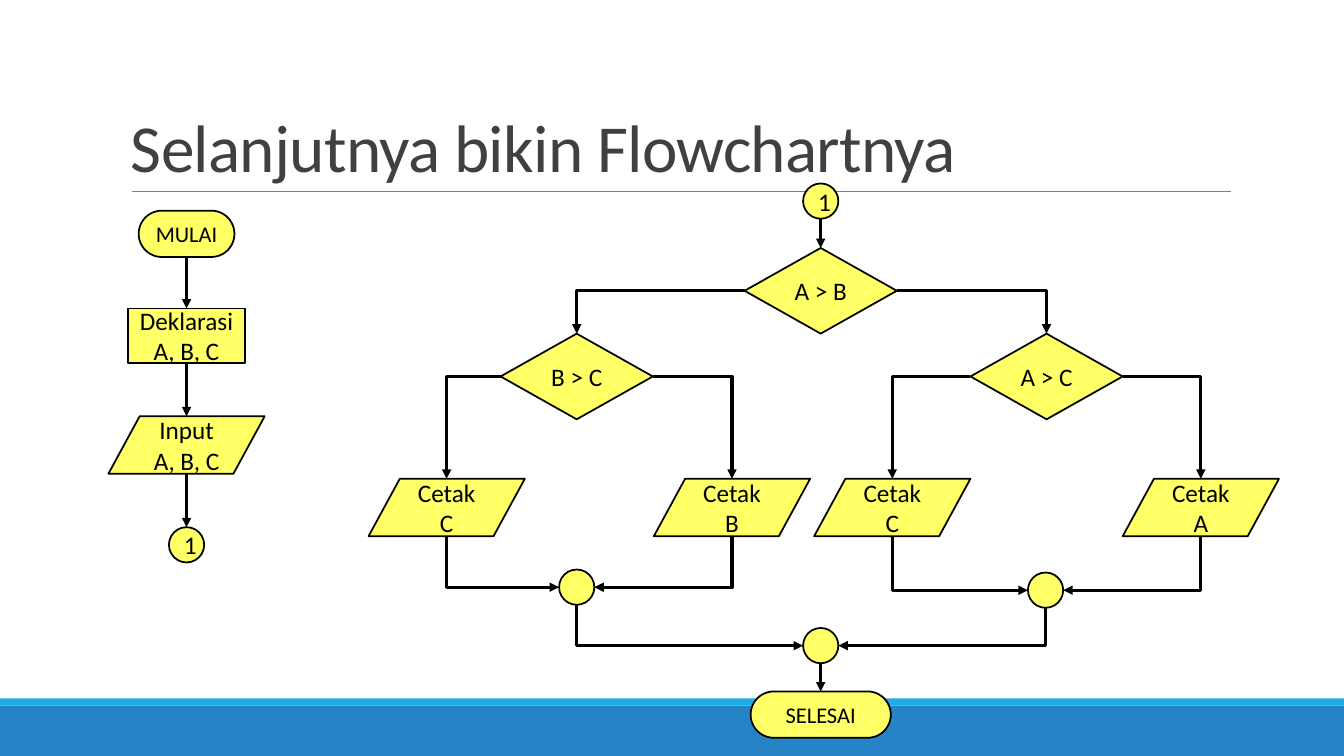
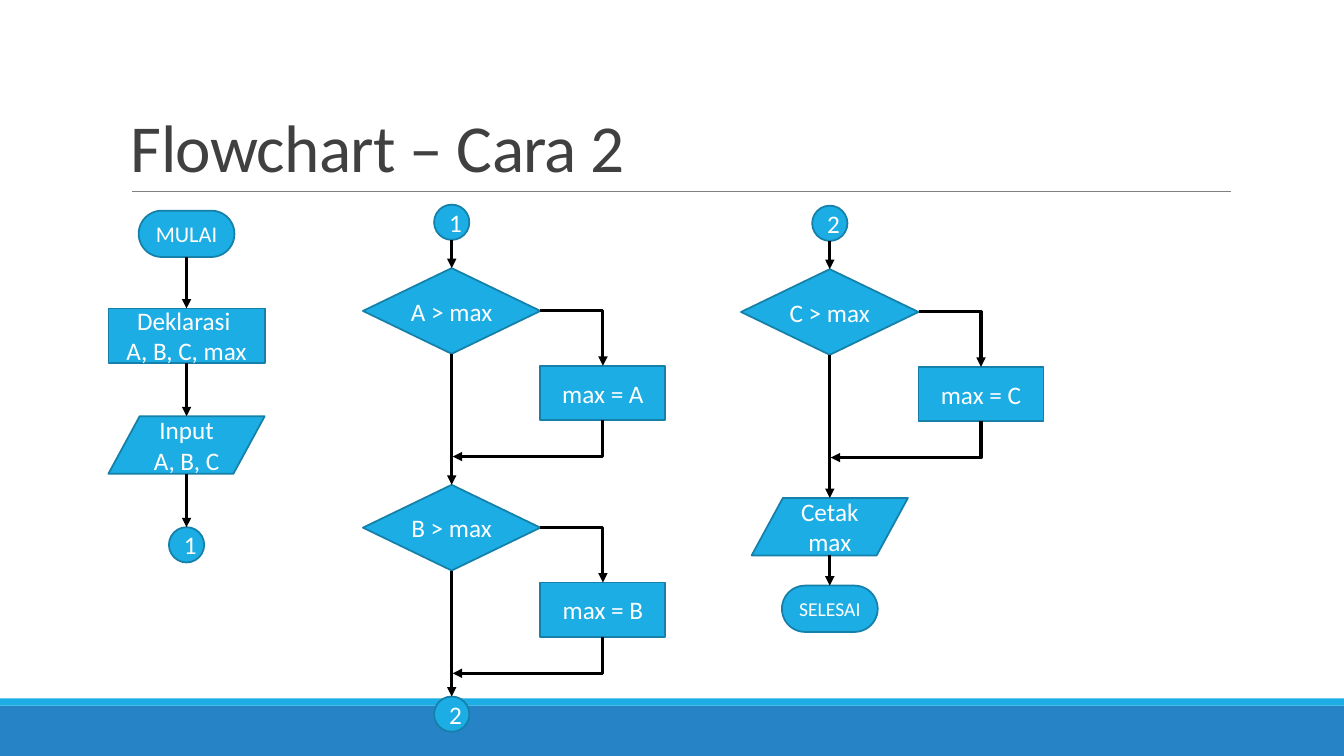
"""Build two slides with flowcharts that find the largest of three numbers."""
from dataclasses import dataclass
from enum import Enum

from lxml.etree import SubElement
from pptx import Presentation
from pptx.dml.color import RGBColor
from pptx.enum.shapes import MSO_CONNECTOR, MSO_SHAPE
from pptx.enum.text import MSO_ANCHOR, PP_ALIGN
from pptx.oxml.ns import qn
from pptx.shapes.autoshape import Shape
from pptx.shapes.connector import Connector
from pptx.slide import Slide
from pptx.util import Inches, Pt

TOP, LEFT, BOTTOM, RIGHT = range(4)


@dataclass(frozen=True)
class Theme:
    font: str = "Calibri"
    title: str = "404040"
    rule: str = "808080"
    band: str = "2683C6"
    accent: str = "1CADE4"
    arrow: str = "000000"
    title_size: float = 48
    label_size: float = 18
    terminal_size: float = 16
    small_size: float = 14
    outline_width: float = 1.25
    arrow_width: float = 2.25


@dataclass(frozen=True)
class Palette:
    fill: str
    outline: str
    text: str


@dataclass(frozen=True)
class Form:
    preset: MSO_SHAPE
    width: float
    height: float
    sites: tuple[int, int, int, int] = (0, 1, 2, 3)


class Kind(Enum):
    TERMINAL = Form(MSO_SHAPE.ROUNDED_RECTANGLE, 0.95, 0.46)
    PROCESS = Form(MSO_SHAPE.RECTANGLE, 1.24, 0.54)
    DATA = Form(MSO_SHAPE.FLOWCHART_DATA, 1.55, 0.57, (1, 2, 4, 5))
    DECISION = Form(MSO_SHAPE.FLOWCHART_DECISION, 1.51, 0.85)
    JUNCTION = Form(MSO_SHAPE.OVAL, 0.35, 0.35, (0, 2, 4, 6))


@dataclass(frozen=True)
class Node:
    shape: Shape
    kind: Kind


THEME = Theme()
YELLOW = Palette("FFFF66", "000000", "000000")
BLUE = Palette(THEME.accent, "1580A9", "FFFFFF")


def color(value: str) -> RGBColor:
    """Turn a hexadecimal string into a colour."""
    return RGBColor.from_string(value)


def write_text(shape: Shape, text: str, *, size: float, text_color: str,
               align: PP_ALIGN = PP_ALIGN.CENTER,
               anchor: MSO_ANCHOR = MSO_ANCHOR.MIDDLE,
               line_spacing: float = 1.0, tracking: float = 0) -> None:
    """Write formatted text into a shape."""
    frame = shape.text_frame
    frame.word_wrap = True
    frame.vertical_anchor = anchor
    frame.text = text
    paragraph = frame.paragraphs[0]
    paragraph.alignment = align
    paragraph.line_spacing = line_spacing
    for run in paragraph.runs:
        run.font.name = THEME.font
        run.font.size = Pt(size)
        run.font.color.rgb = color(text_color)
        if tracking:
            run.font._element.set("spc", str(int(tracking * 100)))


def style_line(connector: Connector, line_color: str, width: float) -> None:
    """Set a connector's stroke and remove its shadow."""
    connector.line.color.rgb = color(line_color)
    connector.line.width = Pt(width)
    SubElement(connector._element.spPr, qn("a:effectLst"))


def add_band(slide: Slide, top: float, height: float, fill: str) -> None:
    """Draw a full-width footer band."""
    band = slide.shapes.add_shape(MSO_SHAPE.RECTANGLE, 0, Inches(top),
                                  Inches(13.33), Inches(height))
    band.shadow.inherit = False
    band.fill.solid()
    band.fill.fore_color.rgb = color(fill)
    band.line.fill.background()


def add_titled_slide(presentation: Presentation, title: str) -> Slide:
    """Add a blank slide with footer bands, title and rule."""
    slide = presentation.slides.add_slide(presentation.slide_layouts[6])
    add_band(slide, 7, 0.5, THEME.band)
    add_band(slide, 6.93, 0.07, THEME.accent)
    rule = slide.shapes.add_connector(MSO_CONNECTOR.STRAIGHT, Inches(1.31),
                                      Inches(1.9), Inches(12.21), Inches(1.9))
    style_line(rule, THEME.rule, 0.5)
    box = slide.shapes.add_textbox(Inches(1.2), Inches(0.31),
                                   Inches(11), Inches(1.59))
    write_text(box, title, size=THEME.title_size, text_color=THEME.title,
               align=PP_ALIGN.LEFT, anchor=MSO_ANCHOR.BOTTOM,
               line_spacing=0.85, tracking=-0.5)
    return slide


@dataclass(frozen=True)
class Flowchart:
    slide: Slide
    palette: Palette

    def node(self, kind: Kind, center: float, top: float, text: str = "", *,
             width: float = 0, size: float = 0, tight: bool = False) -> Node:
        """Draw one symbol centred on a column."""
        form = kind.value
        width = width or form.width
        shape = self.slide.shapes.add_shape(
            form.preset, Inches(center - width / 2), Inches(top),
            Inches(width), Inches(form.height))
        shape.shadow.inherit = False
        shape.fill.solid()
        shape.fill.fore_color.rgb = color(self.palette.fill)
        shape.line.color.rgb = color(self.palette.outline)
        shape.line.width = Pt(THEME.outline_width)
        if kind is Kind.TERMINAL:
            shape.adjustments[0] = 0.5
        if tight:
            shape.text_frame.margin_left = shape.text_frame.margin_right = 0
        if text:
            default = (THEME.terminal_size if kind is Kind.TERMINAL
                       else THEME.label_size)
            write_text(shape, text, size=size or default,
                       text_color=self.palette.text)
        return Node(shape, kind)

    def arrow(self, source: Node, target: Node | tuple[float, float],
              source_side: int = BOTTOM, target_side: int = TOP) -> None:
        """Join two symbols, or a symbol and a point, with an arrow."""
        bent = source_side != BOTTOM or target_side != TOP
        style = MSO_CONNECTOR.ELBOW if bent else MSO_CONNECTOR.STRAIGHT
        end = (0, 0) if isinstance(target, Node) else target
        connector = self.slide.shapes.add_connector(
            style, 0, 0, Inches(end[0]), Inches(end[1]))
        element = connector._element
        connector.begin_connect(source.shape, source_side)
        element.find(".//" + qn("a:stCxn")).set(
            "idx", str(source.kind.value.sites[source_side]))
        if isinstance(target, Node):
            connector.end_connect(target.shape, target_side)
            element.find(".//" + qn("a:endCxn")).set(
                "idx", str(target.kind.value.sites[target_side]))
        if bent:
            element.spPr.find(qn("a:prstGeom")).set("prst", "bentConnector2")
            if source_side == BOTTOM:
                turn_down_first(connector)
        style_line(connector, THEME.arrow, THEME.arrow_width)
        SubElement(element.spPr.find(qn("a:ln")), qn("a:tailEnd"),
                   type="triangle")

    def chain(self, *nodes: Node) -> None:
        """Join symbols from top to bottom."""
        for upper, lower in zip(nodes, nodes[1:]):
            self.arrow(upper, lower)

    def branch(self, decision: Node, no: Node, yes: Node) -> None:
        """Lead both sides of a decision to the symbols below."""
        self.arrow(decision, no, LEFT)
        self.arrow(decision, yes, RIGHT)

    def merge(self, left: Node, right: Node, junction: Node) -> None:
        """Bring two branches together in a junction."""
        self.arrow(left, junction, BOTTOM, LEFT)
        self.arrow(right, junction, BOTTOM, RIGHT)

    def opening(self, declaration: str, width: float) -> None:
        """Draw the first column, from start to junction 1."""
        center = 1.85
        self.chain(
            self.node(Kind.TERMINAL, center, 2.09, "MULAI"),
            self.node(Kind.PROCESS, center, 3.06, declaration, width=width),
            self.node(Kind.DATA, center, 4.13, "Input A, B, C"),
            self.node(Kind.JUNCTION, center, 5.23, "1"))

    def choice(self, center: float, no: tuple[float, str],
               yes: tuple[float, str], junction_center: float,
               junction_top: float, test: str) -> tuple[Node, Node]:
        """Draw a decision with two printed outcomes and their junction."""
        decision = self.node(Kind.DECISION, center, 3.31, test)
        outcomes = [self.node(Kind.DATA, column, 4.75, f"Cetak {letter}")
                    for column, letter in (no, yes)]
        junction = self.node(Kind.JUNCTION, junction_center, junction_top)
        self.branch(decision, *outcomes)
        self.merge(*outcomes, junction)
        return decision, junction

    def comparison(self, center: float, top: float, letter: str) -> Node:
        """Draw a test against max, its assignment and the way back."""
        decision = self.node(Kind.DECISION, center, top, f"{letter} > max",
                             width=1.76, tight=True)
        assignment = self.node(Kind.PROCESS, center + 1.5, top + 0.97,
                               f"max = {letter}")
        self.arrow(decision, assignment, RIGHT)
        self.arrow(assignment, (center + 0.01, top + 1.87), BOTTOM, LEFT)
        return decision


def turn_down_first(connector: Connector) -> None:
    """Rotate an elbow so that it runs down before it runs sideways."""
    leftward = connector.end_x < connector.begin_x
    center_x = (connector.begin_x + connector.end_x) // 2
    center_y = (connector.begin_y + connector.end_y) // 2
    width, height = connector.height, connector.width
    connector.left, connector.top = center_x - width // 2, center_y - height // 2
    connector.width, connector.height = width, height
    transform = connector._element.spPr.find(qn("a:xfrm"))
    transform.set("rot", "5400000" if leftward else "16200000")
    transform.set("flipH", "0" if leftward else "1")
    transform.set("flipV", "0")


def build_nested_slide(presentation: Presentation) -> None:
    """Build the flowchart with nested decisions."""
    slide = add_titled_slide(presentation, "Selanjutnya bikin Flowchartnya")
    chart = Flowchart(slide, YELLOW)
    chart.opening("Deklarasi A, B, C", 1.16)
    center = 8.14
    entry = chart.node(Kind.JUNCTION, center, 1.82, "1")
    decision = chart.node(Kind.DECISION, center, 2.46, "A > B")
    left, left_end = chart.choice(5.72, (4.43, "C"), (7.26, "B"),
                                  5.72, 5.65, "B > C")
    right, right_end = chart.choice(10.38, (8.85, "C"), (11.91, "A"),
                                    10.37, 5.68, "A > C")
    junction = chart.node(Kind.JUNCTION, center, 6.23)
    finish = chart.node(Kind.TERMINAL, center, 6.86, "SELESAI", width=1.39)
    chart.chain(entry, decision)
    chart.branch(decision, left, right)
    chart.merge(left_end, right_end, junction)
    chart.chain(junction, finish)


def build_maximum_slide(presentation: Presentation) -> None:
    """Build the flowchart that keeps a running maximum."""
    slide = add_titled_slide(presentation, "Flowchart – Cara 2")
    chart = Flowchart(slide, BLUE)
    chart.opening("Deklarasi \vA, B, C, max", 1.55)
    middle, last = 4.48, 8.23
    chart.chain(
        chart.node(Kind.JUNCTION, middle, 2.03, "1"),
        chart.comparison(middle, 2.66, "A"),
        chart.comparison(middle, 4.81, "B"),
        chart.node(Kind.JUNCTION, middle, 6.91, "2"))
    chart.chain(
        chart.node(Kind.JUNCTION, last, 2.04, "2"),
        chart.comparison(last, 2.67, "C"),
        chart.node(Kind.DATA, last, 4.94, "Cetak max"),
        chart.node(Kind.TERMINAL, last, 5.81, "SELESAI",
                   size=THEME.small_size))


def main() -> None:
    """Build and save the presentation."""
    presentation = Presentation()
    presentation.slide_width = Inches(13.33)
    presentation.slide_height = Inches(7.5)
    build_nested_slide(presentation)
    build_maximum_slide(presentation)
    presentation.save("out.pptx")


if __name__ == "__main__":
    main()
